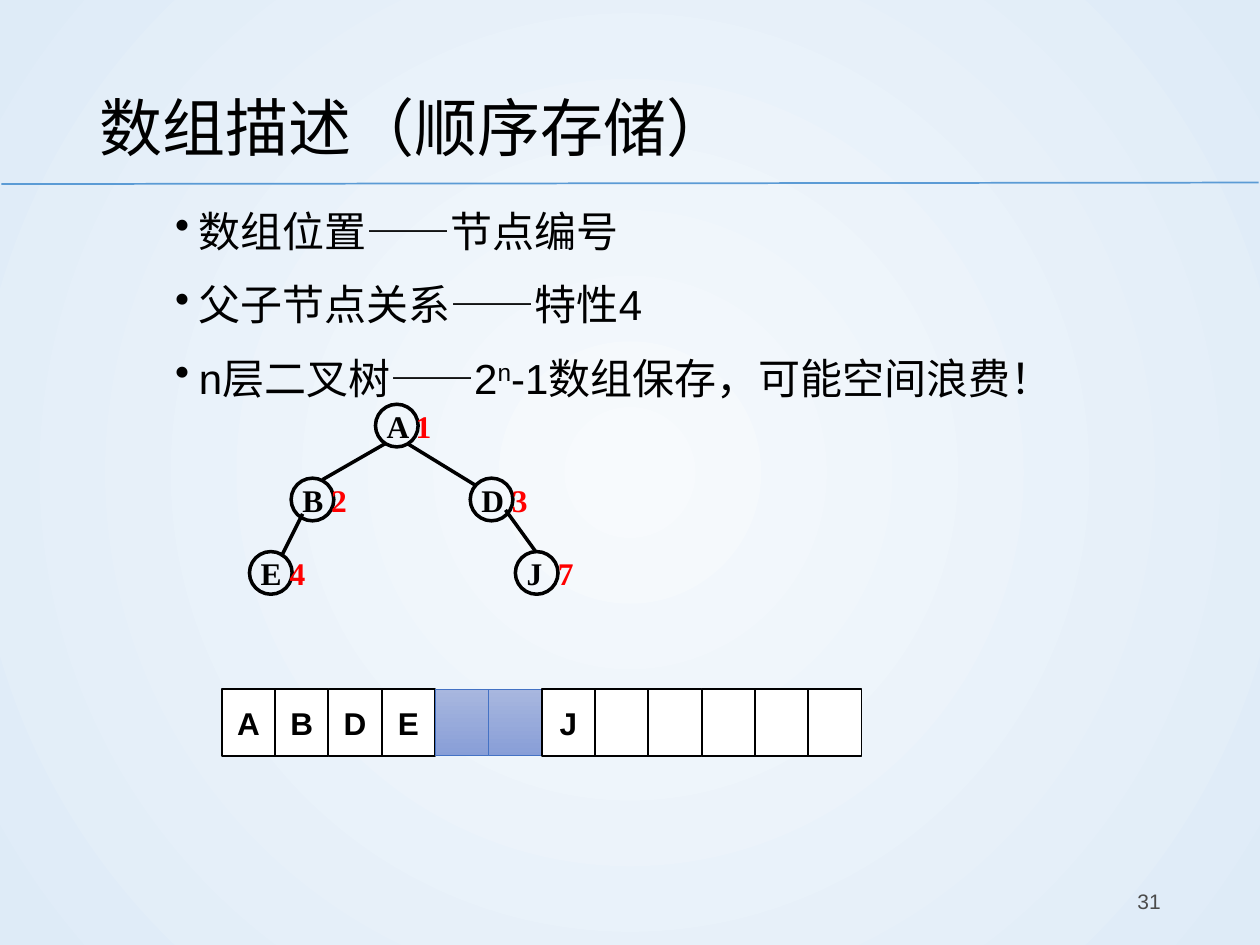
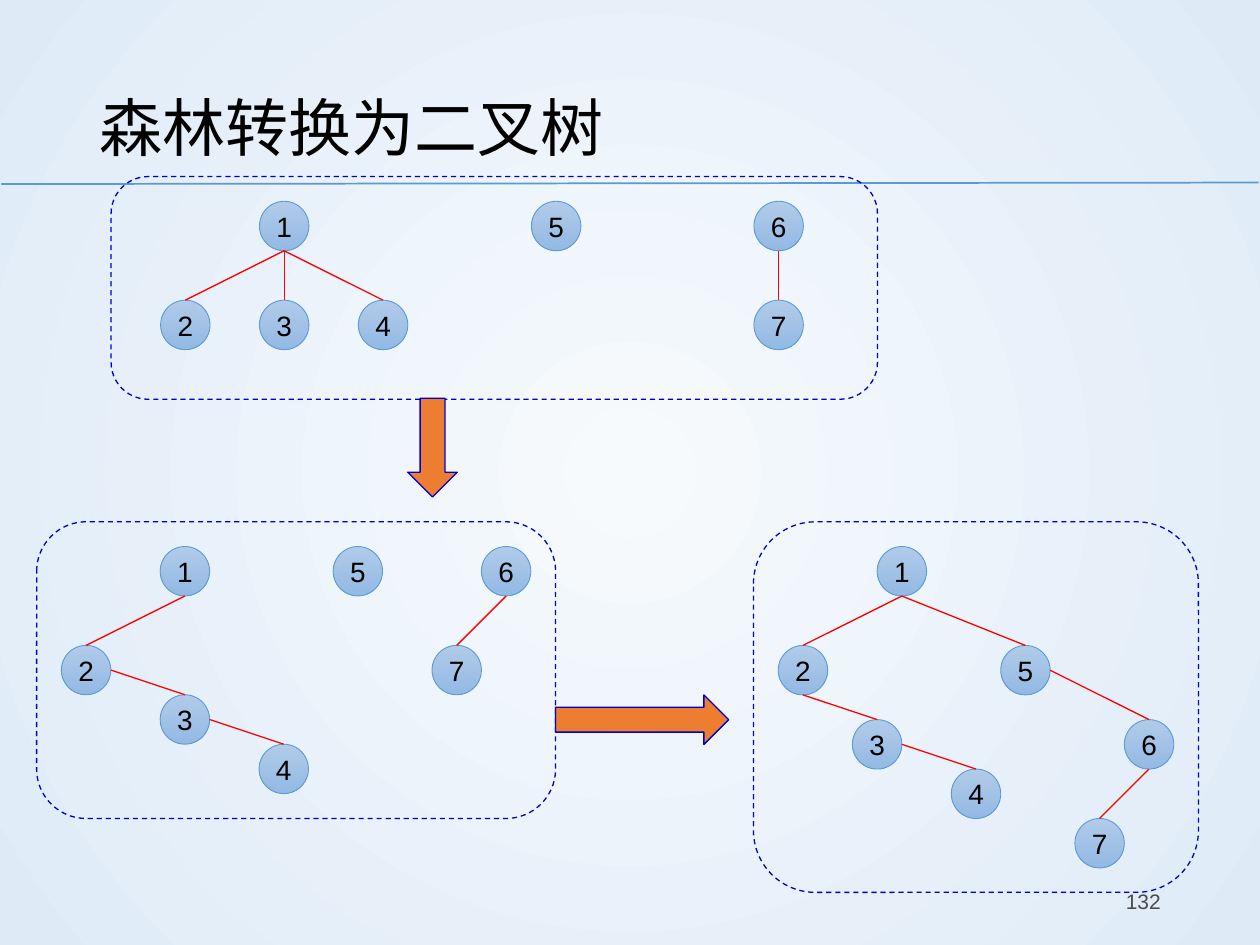
import pptx
import pptx.dml.color
import pptx.enum.dml
import pptx.enum.shapes
import pptx.enum.text
import pptx.oxml
import pptx.oxml.ns
import pptx.util
from pptx.util import Cm

SHAPE = pptx.enum.shapes.MSO_SHAPE
ALIGN = pptx.enum.text.PP_ALIGN
MIDDLE = pptx.enum.text.MSO_ANCHOR.MIDDLE
COLOURS = {
    "text": "000000", "number": "4B4B4B", "white": "FFFFFF", "red": "FF0000",
    "centre": "F7FAFD", "edge": "DEEBF7", "rule": "5B9BD5",
    "node_top": "B1CBE9", "node_bottom": "93B9E4",
    "gap_top": "A8B7DF", "gap_bottom": "889ED7", "gap_line": "4472C4",
    "arrow": "ED7D31", "frame": "0000CC",
}
TITLE_BOX = (1.75, 1.02, 21.89, 2.74)
NUMBER_BOX = (17.93, 17.65, 5.72, 1.02)
NODE_GRADIENT = ("node_top", "node_bottom")
GAP_GRADIENT = ("gap_top", "gap_bottom")
NO_MARGINS = dict.fromkeys(
    ("margin_left", "margin_right", "margin_top", "margin_bottom"), 0)


def rgb(name):
    return pptx.dml.color.RGBColor.from_string(COLOURS[name])


def apply_formats(target, formats):
    for name, value in formats.items():
        setattr(target, name, value)


def add_run(paragraph, text, size, colour="text", **formats):
    run = paragraph.add_run()
    run.text = text
    apply_formats(run.font, {"name": "Arial", "size": pptx.util.Pt(size), **formats})
    run.font.color.rgb = rgb(colour)
    return run


def add_text_box(slide, box, **formats):
    frame = slide.shapes.add_textbox(*map(Cm, box)).text_frame
    apply_formats(frame, {"word_wrap": True, **formats})
    return frame


def paint(fill, colour):
    """Fill with one colour name, a top-to-bottom pair of names, or nothing."""
    if colour is None:
        fill.background()
    elif isinstance(colour, tuple):
        fill.gradient()
        fill.gradient_angle = 270
        for stop, name in zip(fill.gradient_stops, colour):
            stop.color.rgb = rgb(name)
    else:
        fill.solid()
        fill.fore_color.rgb = rgb(colour)


def add_shape(slide, kind, box, fill, line, width):
    shape = slide.shapes.add_shape(kind, *map(Cm, box))
    shape.shadow.inherit = False
    paint(shape.fill, fill)
    shape.line.color.rgb = rgb(line)
    shape.line.width = pptx.util.Pt(width)
    return shape


def add_label(shape, text, size, **formats):
    """Write centred text in a shape."""
    apply_formats(shape.text_frame, {"vertical_anchor": MIDDLE, **NO_MARGINS})
    paragraph = shape.text_frame.paragraphs[0]
    paragraph.alignment = ALIGN.CENTER
    add_run(paragraph, text, size, **formats)


def add_line(slide, start, end, colour, width):
    connector = slide.shapes.add_connector(
        pptx.enum.shapes.MSO_CONNECTOR.STRAIGHT, *map(Cm, (*start, *end)))
    connector.line.color.rgb = rgb(colour)
    connector.line.width = pptx.util.Pt(width)
    pptx.oxml.ns.qn("a:effectLst")
    connector.element.spPr.append(
        connector.element.makeelement(pptx.oxml.ns.qn("a:effectLst"), {}))


def add_base_slide(presentation, title, number):
    """Add a slide with the radial background, title, rule and page number."""
    slide = presentation.slides.add_slide(presentation.slide_layouts[6])
    paint(slide.background.fill, ("centre", "edge"))
    linear = next(slide.element.iter(pptx.oxml.ns.qn("a:lin")))
    radial = pptx.oxml.parse_xml(
        f'<a:path {pptx.oxml.ns.nsdecls("a")} path="circle">'
        '<a:fillToRect l="50000" t="50000" r="50000" b="50000"/></a:path>')
    linear.getparent().replace(linear, radial)

    add_line(slide, (0.03, 3.71), (25.37, 3.68), "rule", 1)
    paragraph = add_text_box(slide, TITLE_BOX, vertical_anchor=MIDDLE).paragraphs[0]
    paragraph.line_spacing = 1.2
    add_run(paragraph, title, 36)
    paragraph = add_text_box(slide, NUMBER_BOX, vertical_anchor=MIDDLE).paragraphs[0]
    paragraph.alignment = ALIGN.RIGHT
    add_run(paragraph, number, 12, "number")
    return slide


def add_bullets(slide, box, items):
    """Each item is a list of (text, is_superscript) pairs."""
    frame = add_text_box(slide, box)
    for index, item in enumerate(items):
        paragraph = frame.add_paragraph() if index else frame.paragraphs[0]
        paragraph.line_spacing = 1.2
        if index:
            paragraph.space_before = pptx.util.Pt(7.5)
        properties = paragraph._p.get_or_add_pPr()
        properties.set("marL", str(Cm(0.48)))
        properties.set("indent", str(-Cm(0.48)))
        properties.append(pptx.oxml.parse_xml(
            f'<a:buChar {pptx.oxml.ns.nsdecls("a")} char="•"/>'))
        for text, is_superscript in item:
            run = add_run(paragraph, text, 24)
            if is_superscript:
                run._r.get_or_add_rPr().set("baseline", "30000")


def add_numbered_tree(slide, origin, nodes, edges):
    """Draw circles with a letter and its array position, joined by lines."""
    left, top = origin
    for letter, position, x, y in nodes:
        circle = add_shape(slide, SHAPE.OVAL, (left + x, top + y, 0.86, 0.86),
                           None, "text", 2)
        apply_formats(circle.text_frame, {
            "word_wrap": False, "vertical_anchor": MIDDLE, "margin_left": Cm(0.1)})
        paragraph = circle.text_frame.paragraphs[0]
        paragraph.alignment = ALIGN.LEFT
        formats = {"name": "Times New Roman", "bold": True}
        letter_run = add_run(paragraph, letter + " ", 18, **formats)
        if letter == "J":  # the narrow letter needs looser spacing
            letter_run._r.get_or_add_rPr().set("spc", "225")
        add_run(paragraph, position, 18, "red", **formats)
    for x1, y1, x2, y2 in edges:
        add_line(slide, (left + x1, top + y1), (left + x2, top + y2), "text", 2)


def add_array(slide, box, cells):
    """Draw a row of cells; None marks a wasted place."""
    left, top, width, height = box
    cell_width = width / len(cells)
    for index, letter in enumerate(cells):
        style = (GAP_GRADIENT, "gap_line", 0.5) if letter is None else ("white", "text", 1)
        cell = add_shape(slide, SHAPE.RECTANGLE,
                         (left + index * cell_width, top, cell_width, height), *style)
        if letter:
            add_label(cell, letter, 18, bold=True)


def add_forest(slide, box, columns, nodes, edges):
    """Draw a dashed frame with nodes placed on a grid of the given columns."""
    left, top, width, _ = box
    unit = width / columns
    corners = {name: (left + x * unit, top + y * unit) for name, (x, y) in nodes.items()}
    for name, corner in corners.items():
        node = add_shape(slide, SHAPE.OVAL, (*corner, unit, unit),
                         NODE_GRADIENT, "rule", 0.5)
        add_label(node, name, 16)
    exits = {"bottom": (unit / 2, unit), "right": (unit, unit / 2)}
    for parent, child, side in edges:
        (x1, y1), (x2, y2), (dx, dy) = corners[parent], corners[child], exits[side]
        add_line(slide, (x1 + dx, y1 + dy), (x2 + unit / 2, y2), "red", 0.75)
    frame = add_shape(slide, SHAPE.ROUNDED_RECTANGLE, box, None, "frame", 0.75)
    frame.line.dash_style = pptx.enum.dml.MSO_LINE.DASH


def build_array_slide(presentation):
    slide = add_base_slide(presentation, "数组描述（顺序存储）", "31")
    add_bullets(slide, (3.28, 3.81, 21.59, 12.57), [
        [("数组位置——节点编号", False)],
        [("父子节点关系——特性4", False)],
        [("n层二叉树——2", False), ("n", True), ("-1数组保存，可能空间浪费！", False)],
    ])
    add_numbered_tree(
        slide, (5.03, 8.15),
        [("A", "1", 2.54, 0), ("B", "2", 0.84, 1.49), ("D", "3", 4.45, 1.49),
         ("E", "4", 0, 2.97), ("J", "7", 5.36, 2.97)],
        [(2.74, 0.79, 1.47, 1.52), (3.18, 0.79, 4.55, 1.63),
         (1.07, 2.21, 0.64, 3.07), (5.16, 2.13, 5.77, 2.97)])
    add_array(slide, (4.47, 13.89, 12.9, 1.35),
              ["A", "B", "D", "E", None, None, "J", "", "", "", "", ""])


def build_forest_slide(presentation):
    slide = add_base_slide(presentation, "森林转换为二叉树", "132")
    add_forest(
        slide, (2.24, 3.56, 15.45, 4.49), 15.5,
        {"1": (3, 0.5), "2": (1, 2.5), "3": (3, 2.5), "4": (5, 2.5),
         "5": (8.5, 0.5), "6": (13, 0.5), "7": (13, 2.5)},
        [("1", "2", "bottom"), ("1", "3", "bottom"), ("1", "4", "bottom"),
         ("6", "7", "bottom")])
    add_forest(
        slide, (0.74, 10.52, 10.46, 5.98), 10.5,
        {"1": (2.5, 0.5), "2": (0.5, 2.5), "3": (2.5, 3.5), "4": (4.5, 4.5),
         "5": (6, 0.5), "6": (9, 0.5), "7": (8, 2.5)},
        [("1", "2", "bottom"), ("2", "3", "right"), ("3", "4", "right"),
         ("6", "7", "bottom")])
    add_forest(
        slide, (15.19, 10.52, 8.97, 7.47), 9,
        {"1": (2.5, 0.5), "2": (0.5, 2.5), "3": (2, 4), "4": (4, 5),
         "5": (5, 2.5), "6": (7.5, 4), "7": (6.5, 6)},
        [("1", "2", "bottom"), ("1", "5", "bottom"), ("2", "3", "bottom"),
         ("3", "4", "right"), ("5", "6", "right"), ("6", "7", "bottom")])
    for kind, box in ((SHAPE.DOWN_ARROW, (8.22, 8.03, 1, 1.99)),
                      (SHAPE.RIGHT_ARROW, (11.2, 14.01, 3.49, 1))):
        add_shape(slide, kind, box, "arrow", "frame", 0.75)


def main():
    presentation = pptx.Presentation()
    presentation.slide_width, presentation.slide_height = Cm(25.4), Cm(19.05)
    build_array_slide(presentation)
    build_forest_slide(presentation)
    presentation.save("out.pptx")


if __name__ == "__main__":
    main()
